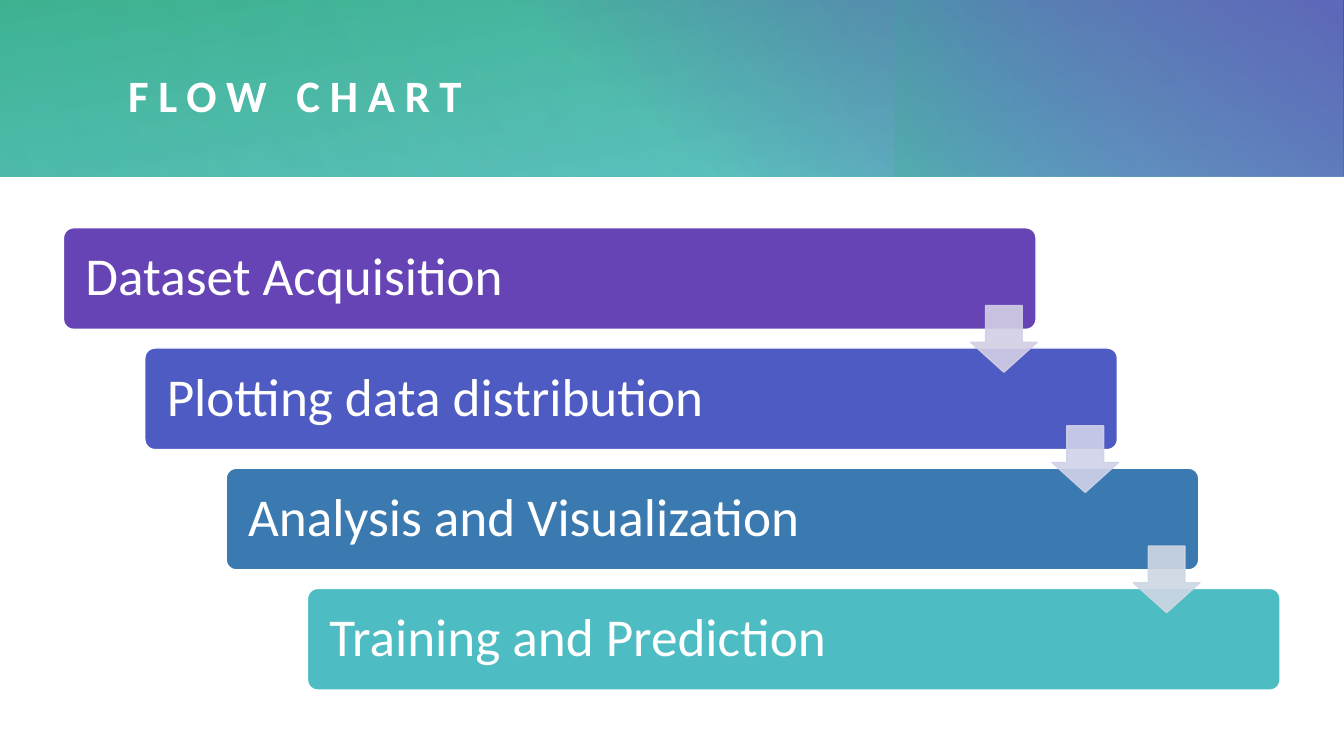
from dataclasses import dataclass

from lxml.etree import SubElement
from pptx import Presentation
from pptx.dml.color import RGBColor
from pptx.enum.shapes import MSO_SHAPE as Shape
from pptx.enum.text import MSO_ANCHOR as Anchor, PP_ALIGN as Align
from pptx.oxml import parse_xml
from pptx.oxml.ns import nsdecls, qn
from pptx.util import Cm, Pt


@dataclass(frozen=True)
class Theme:
    font: str = "Calibri"
    white: str = "FFFFFF"
    purple: str = "6644B5"
    indigo: str = "4D5BC3"
    blue: str = "3B7AB1"
    teal: str = "4DBDC3"
    green: str = "3BB186"
    title_size: int = 32
    step_size: int = 38
    title_tracking: int = 700
    arrow_opacity: int = 90


theme = Theme()

TITLE = "FLOW CHART"
STEPS = [
    ("Dataset Acquisition", theme.purple),
    ("Plotting data distribution", theme.indigo),
    ("Analysis and Visualization", theme.blue),
    ("Training and Prediction", theme.teal),
]
ARROW_COLORS = ["D3CFE5", "D0D2E9", "CED7E4"]

# (left, top, width, height), rotation, gradient angle, (position, colour, opacity) stops
BANDS = [
    ((0, 0, 33.87, 4.45), 0, 260, [(0, theme.teal, 83), (100, theme.green, 100)]),
    ((12.22, 0, 21.65, 4.45), 0, 310, [(22, theme.purple, 0), (99, theme.purple, 100)]),
    ((25.07, -2.53, 4.45, 9.5), 270, 250, [(45, theme.blue, 0), (99, theme.green, 33)]),
    ((6.81, 0, 27.03, 4.45), 180, 330, [(0, theme.teal, 30), (99, theme.teal, 0)]),
    ((0, 0, 21.97, 4.45), 0, 340, [(0, theme.teal, 21), (99, theme.teal, 0)]),
]

TITLE_BOX = (3.23, 1.04, 28.83, 2.69)
STEP_BOX = (1.6, 5.74, 24.51, 2.56)
ARROW_BOX = (24.46, 7.7, 1.68, 1.68)
STEP_RIGHT, STEP_DOWN = 2.05, 3.03


def cascade(box, index):
    left, top, width, height = box
    return left + index * STEP_RIGHT, top + index * STEP_DOWN, width, height


def add_shape(slide, kind, box):
    shape = slide.shapes.add_shape(kind, *map(Cm, box))
    shape.shadow.inherit = False
    return shape


def paint(shape, fill_color, line_color):
    shape.fill.solid()
    shape.fill.fore_color.rgb = RGBColor.from_string(fill_color)
    shape.line.color.rgb = RGBColor.from_string(line_color)
    shape.line.width = Pt(1)


def add_run(paragraph, text, size):
    run = paragraph.add_run()
    run.text = text
    run.font.name = theme.font
    run.font.size = Pt(size)
    run.font.color.rgb = RGBColor.from_string(theme.white)
    return run


def add_band(slide, box, rotation, angle, stops):
    band = add_shape(slide, Shape.RECTANGLE, box)
    band.rotation = rotation
    band.line.fill.background()
    band.fill.background()
    stop_xml = "".join(
        f'<a:gs pos="{position * 1000}"><a:srgbClr val="{color}">'
        f'<a:alpha val="{opacity * 1000}"/></a:srgbClr></a:gs>'
        for position, color, opacity in stops
    )
    gradient = parse_xml(
        f'<a:gradFill {nsdecls("a")} rotWithShape="1"><a:gsLst>{stop_xml}</a:gsLst>'
        f'<a:lin ang="{angle * 60000}" scaled="0"/></a:gradFill>'
    )
    properties = band.element.spPr
    properties.replace(properties.find(qn("a:noFill")), gradient)


def add_title(slide):
    title = slide.shapes.title
    title.left, title.top, title.width, title.height = map(Cm, TITLE_BOX)
    slide.shapes.element.append(title.element)
    frame = title.text_frame
    frame.margin_left = frame.margin_right = frame.margin_top = frame.margin_bottom = 0
    frame.vertical_anchor = Anchor.MIDDLE
    paragraph = frame.paragraphs[0]
    paragraph.alignment = Align.LEFT
    run = add_run(paragraph, TITLE, theme.title_size)
    run.font.bold = True
    run.font.element.set("spc", str(theme.title_tracking)) if hasattr(run.font, "element") else \
        run._r.get_or_add_rPr().set("spc", str(theme.title_tracking))


def add_step(slide, index, text, color):
    step = add_shape(slide, Shape.ROUNDED_RECTANGLE, cascade(STEP_BOX, index))
    step.adjustments[0] = 0.1
    paint(step, color, theme.white)
    frame = step.text_frame
    frame.word_wrap = True
    frame.vertical_anchor = Anchor.MIDDLE
    frame.margin_left = frame.margin_right = Cm(0.48)
    paragraph = frame.paragraphs[0]
    paragraph.alignment = Align.LEFT
    paragraph.line_spacing = 0.9
    add_run(paragraph, text, theme.step_size)


def add_arrow(slide, index, color):
    arrow = add_shape(slide, Shape.DOWN_ARROW, cascade(ARROW_BOX, index))
    arrow.adjustments[0] = 0.55
    arrow.adjustments[1] = 0.45
    paint(arrow, color, color)
    for color_element in arrow.element.spPr.iter(qn("a:srgbClr")):
        SubElement(color_element, qn("a:alpha"), val=str(theme.arrow_opacity * 1000))


def main():
    presentation = Presentation()
    presentation.slide_width, presentation.slide_height = Cm(33.87), Cm(19.05)
    slide = presentation.slides.add_slide(presentation.slide_layouts[5])
    for band in BANDS:
        add_band(slide, *band)
    add_title(slide)
    for index, (text, color) in enumerate(STEPS):
        add_step(slide, index, text, color)
    for index, color in enumerate(ARROW_COLORS):
        add_arrow(slide, index, color)
    presentation.save("out.pptx")


if __name__ == "__main__":
    main()
